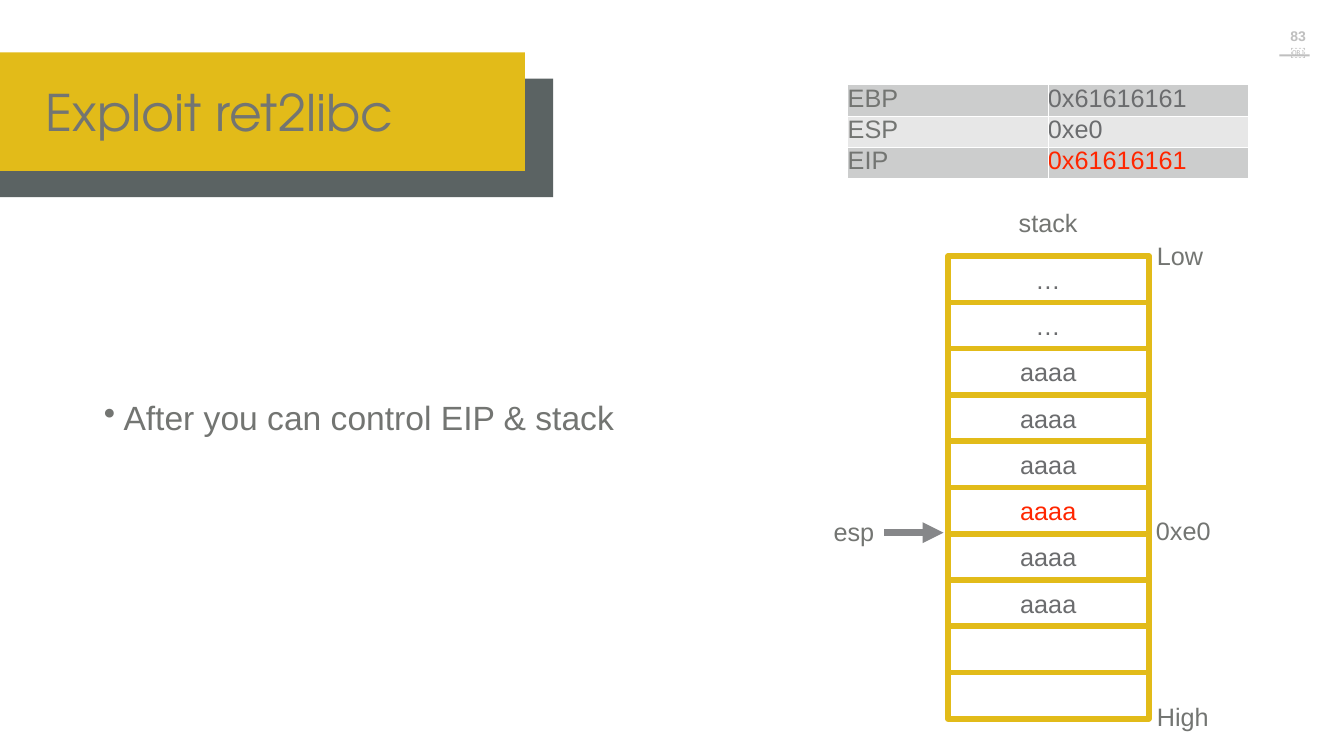
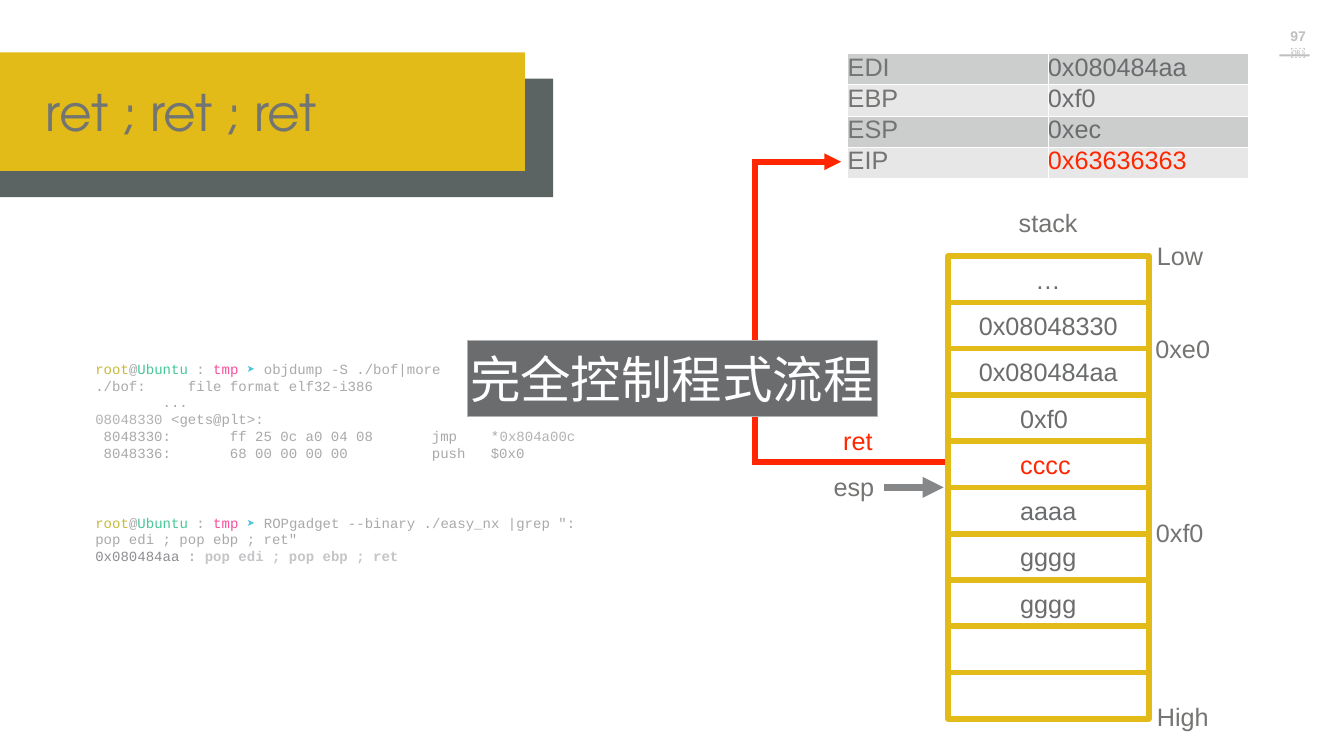
from dataclasses import dataclass
from typing import NamedTuple

from lxml import etree
from pptx import Presentation
from pptx.dml.color import RGBColor
from pptx.enum.shapes import MSO_CONNECTOR, MSO_SHAPE
from pptx.enum.text import MSO_ANCHOR, MSO_AUTO_SIZE, PP_ALIGN
from pptx.oxml.ns import qn
from pptx.util import Inches, Pt

RECTANGLE = MSO_SHAPE.RECTANGLE
STRAIGHT = MSO_CONNECTOR.STRAIGHT
MIDDLE = MSO_ANCHOR.MIDDLE
GROW = MSO_AUTO_SIZE.SHAPE_TO_FIT_TEXT
LEFT, CENTER = PP_ALIGN.LEFT, PP_ALIGN.CENTER


@dataclass(frozen=True)
class Theme:
    white: str = "FFFFFF"
    gold: str = "E2BB19"
    slate: str = "333C3C"
    text: str = "737572"
    value: str = "6B6C6E"
    alert: str = "FF2600"
    pointer: str = "868789"
    page: str = "BFBFBF"
    row_dark: str = "CCCDCD"
    row_light: str = "E7E7E7"
    user: str = "C7B939"
    host: str = "45C897"
    folder: str = "F7509D"
    prompt: str = "4EC5DA"
    code: str = "A9A9A9"
    code_number: str = "B1B2B4"
    code_address: str = "8D8E91"
    code_match: str = "C4C5C7"
    body_font: str = "Arial"
    title_font: str = "TeX Gyre Adventor"
    code_font: str = "Courier New"
    title_size: int = 72
    bullet_size: int = 48
    label_size: int = 36
    small_size: int = 20


THEME = Theme()


class Box(NamedTuple):
    left: float
    top: float
    width: float
    height: float


class Run(NamedTuple):
    text: str
    color: str = THEME.text
    bold: bool = False


class Label(NamedTuple):
    text: str
    left: float
    top: float
    width: float
    color: str = THEME.text


class Segment(NamedTuple):
    start: tuple[float, float]
    end: tuple[float, float]
    color: str
    weight: float
    arrow: bool = False


class Entry(NamedTuple):
    """A register value or the content of a stack cell."""
    text: str
    color: str = THEME.value


@dataclass(frozen=True)
class Snapshot:
    """State of registers and stack shown on one slide."""
    title: str
    title_width: float
    page: str
    registers: dict[str, Entry]
    stack: list[Entry]
    labels: list[Label]
    esp_top: float
    flow: tuple[Segment, ...] = ()


LABEL_HEIGHT = 0.7
REGISTER_LEFT, REGISTER_BOTTOM = 16.81, 3.54
REGISTER_COLUMN, REGISTER_ROW = 3.97, 0.62
STACK_LEFT, STACK_TOP, STACK_WIDTH = 18.8, 5.08, 3.98
CELL_COUNT, CELL_HEIGHT, CELL_PITCH = 10, 0.92, 0.918
ENTRY_LEFT = {1: 20.48, 4: 20.18, 10: 19.36}
ENTRY_WIDTH = {"…": 0.61, "0xf0": 1.06, "cccc": 1.11, "aaaa": 1.23, "gggg": 1.23}
ADDRESS_WIDTH = 2.87
STACK_LABELS = [
    Label("stack", 20.15, 4.06, 1.28),
    Label("Low", 22.89, 4.71, 1.03),
    Label("High", 22.89, 13.87, 1.14),
]
PROMPT = [
    Run("root", THEME.user), Run("@", THEME.code), Run("Ubuntu", THEME.host),
    Run(" : ", THEME.code), Run("tmp ", THEME.folder), Run("➤ ", THEME.prompt),
]
DISASSEMBLY = [
    PROMPT + [Run("objdump -S ./bof|more", THEME.code)],
    [Run("./bof:     file format elf32-i386", THEME.code)],
    [Run("        ...", THEME.code)],
    [Run("08048330", THEME.code_number), Run(" <gets@plt>:", THEME.code)],
    [Run(" 8048330:       ff 25 0c a0 04 08       jmp    *", THEME.code),
     Run("0x804a00c", THEME.code_number)],
    [Run(" 8048336:       68 00 00 00 00          push   $0x0", THEME.code)],
]
GADGET_SEARCH = [
    PROMPT + [Run('ROPgadget --binary ./easy_nx |grep ": pop edi ; pop ebp ; ret"',
                  THEME.code)],
    [Run("0x080484aa ", THEME.code_address), Run(": ", THEME.code_number, True),
     Run("pop edi ; pop ebp ; ret", THEME.code_match, True)],
]


def rgb(color: str) -> RGBColor:
    return RGBColor.from_string(color)


def add_runs(paragraph, runs: list[Run], size: int, font: str) -> None:
    for part in runs:
        run = paragraph.add_run()
        run.text = part.text
        run.font.name, run.font.size = font, Pt(size)
        run.font.bold = part.bold
        run.font.color.rgb = rgb(part.color)


def fill_frame(frame, lines: list[list[Run]], size: int, font: str,
               wrap: bool = False, align=LEFT, inset: float = 0.05) -> None:
    frame.margin_left = frame.margin_right = Inches(inset)
    frame.margin_top = frame.margin_bottom = Inches(inset)
    frame.word_wrap = wrap
    frame.auto_size = GROW
    frame.vertical_anchor = MIDDLE
    for index, runs in enumerate(lines):
        paragraph = frame.add_paragraph() if index else frame.paragraphs[0]
        paragraph.alignment = align
        add_runs(paragraph, runs, size, font)


def add_text(slide, box: Box, lines: list[list[Run]], size: int,
             font: str = THEME.body_font, **layout):
    frame = slide.shapes.add_textbox(*map(Inches, box)).text_frame
    fill_frame(frame, lines, size, font, **layout)
    return frame


def add_label(slide, label: Label) -> None:
    box = Box(label.left, label.top, label.width, LABEL_HEIGHT)
    add_text(slide, box, [[Run(label.text, label.color)]], THEME.label_size)


def add_rect(slide, box: Box, fill: str = "", line: str = "", weight: float = 0):
    rect = slide.shapes.add_shape(RECTANGLE, *map(Inches, box))
    rect.shadow.inherit = False
    if fill:
        rect.fill.solid()
        rect.fill.fore_color.rgb = rgb(fill)
    else:
        rect.fill.background()
    if line:
        rect.line.color.rgb = rgb(line)
        rect.line.width = Pt(weight)
    else:
        rect.line.fill.background()
    return rect


def add_segment(slide, segment: Segment) -> None:
    points = map(Inches, segment.start + segment.end)
    connector = slide.shapes.add_connector(STRAIGHT, *points)
    connector.line.color.rgb = rgb(segment.color)
    connector.line.width = Pt(segment.weight)
    if segment.arrow:
        etree.SubElement(connector.line._get_or_add_ln(), qn("a:tailEnd"), type="triangle")
    etree.SubElement(connector._element.spPr, qn("a:effectLst"))


def add_frame(slide, snapshot: Snapshot) -> None:
    """Title bands, title and page number shared by all slides."""
    shade = add_rect(slide, Box(-0.34, 1.56, 11.31, 2.35), THEME.slate)
    color = shade._element.spPr.find(qn("a:solidFill"))[0]
    etree.SubElement(color, qn("a:alpha"), val="80000")
    add_rect(slide, Box(-0.23, 1.04, 10.64, 2.35), THEME.gold)
    add_rect(slide, Box(25.37, 1.08, 0.6, 0.04), THEME.page)
    add_text(slide, Box(0.86, 1.59, snapshot.title_width, 1.25),
             [[Run(snapshot.title)]], THEME.title_size, THEME.title_font)
    add_text(slide, Box(25.48, 0.62, 0.52, 0.53),
             [[Run(snapshot.page, THEME.page, True)]], THEME.small_size,
             wrap=True, align=CENTER, inset=0.1)


def style_cell(cell, run: Run, fill: str) -> None:
    cell.margin_left = cell.margin_right = cell.margin_top = cell.margin_bottom = 0
    cell.fill.solid()
    cell.fill.fore_color.rgb = rgb(fill)
    add_runs(cell.text_frame.paragraphs[0], [run], THEME.label_size, THEME.body_font)
    properties = cell._tc.get_or_add_tcPr()
    for position, side in enumerate(("lnL", "lnR", "lnT", "lnB")):
        border = etree.Element(qn(f"a:{side}"), w=str(Pt(1)))
        paint = etree.SubElement(border, qn("a:solidFill"))
        etree.SubElement(paint, qn("a:srgbClr"), val=THEME.white)
        properties.insert(position, border)


def add_registers(slide, registers: dict[str, Entry]) -> None:
    height = REGISTER_ROW * len(registers)
    box = Box(REGISTER_LEFT, REGISTER_BOTTOM - height, 2 * REGISTER_COLUMN, height)
    table = slide.shapes.add_table(len(registers), 2, *map(Inches, box)).table
    table.first_row = table.horz_banding = False
    for row, (register, entry) in enumerate(registers.items()):
        fill = THEME.row_light if row % 2 else THEME.row_dark
        style_cell(table.cell(row, 0), Run(register), fill)
        style_cell(table.cell(row, 1), Run(*entry), fill)


def add_stack(slide, snapshot: Snapshot) -> None:
    tops = [STACK_TOP + CELL_PITCH * row for row in range(CELL_COUNT)]
    for top in tops:
        add_rect(slide, Box(STACK_LEFT, top, STACK_WIDTH, CELL_HEIGHT),
                 line=THEME.gold, weight=8)
    entries = [
        Label(text, ENTRY_LEFT[len(text)], top + 0.11,
              ENTRY_WIDTH.get(text, ADDRESS_WIDTH), color)
        for top, (text, color) in zip(tops, snapshot.stack)
    ]
    esp = Label("esp", 16.48, snapshot.esp_top - 0.37, 1.06)
    for label in STACK_LABELS + entries + snapshot.labels + [esp]:
        add_label(slide, label)
    add_segment(slide, Segment((17.53, snapshot.esp_top), (18.71, snapshot.esp_top),
                               THEME.pointer, 10, True))


def add_snapshot(deck, snapshot: Snapshot):
    slide = deck.slides.add_slide(deck.slide_layouts[6])
    add_frame(slide, snapshot)
    for segment in snapshot.flow:
        add_segment(slide, segment)
    add_registers(slide, snapshot.registers)
    add_stack(slide, snapshot)
    return slide


def build_exploit(deck) -> None:
    slide = add_snapshot(deck, Snapshot(
        "Exploit ret2libc", 7.39, "83￼",
        {"EBP": Entry("0x61616161"), "ESP": Entry("0xe0"),
         "EIP": Entry("0x61616161", THEME.alert)},
        [Entry("…")] * 2 + [Entry("aaaa")] * 3
        + [Entry("aaaa", THEME.alert)] + [Entry("aaaa")] * 2,
        [Label("0xe0", 22.87, 10.18, 1.2)], 10.57))
    frame = add_text(slide, Box(2.01, 7.83, 10.24, 0.91),
                     [[Run("After you can control EIP & stack")]], THEME.bullet_size)
    properties = frame.paragraphs[0]._p.get_or_add_pPr()
    properties.set("marL", str(Inches(0.39)))
    properties.set("indent", str(-Inches(0.39)))
    etree.SubElement(properties, qn("a:buChar"), char="•")


def build_ret_chain(deck) -> None:
    red = THEME.alert
    slide = add_snapshot(deck, Snapshot(
        "ret ; ret ; ret", 5.82, "97￼",
        {"EDI": Entry("0x080484aa"), "EBP": Entry("0xf0"), "ESP": Entry("0xec"),
         "EIP": Entry("0x63636363", red)},
        [Entry("…"), Entry("0x08048330"), Entry("0x080484aa"), Entry("0xf0"),
         Entry("cccc", red), Entry("aaaa"), Entry("gggg"), Entry("gggg")],
        [Label("0xe0", 22.86, 6.57, 1.2), Label("0xf0", 22.87, 10.22, 1.06),
         Label("ret", 16.67, 8.39, 0.7, red)], 9.67,
        (Segment((14.92, 9.17), (18.81, 9.17), red, 8),
         Segment((14.97, 9.22), (14.97, 3.17), red, 8),
         Segment((14.92, 3.21), (16.68, 3.21), red, 8, True))))
    add_text(slide, Box(1.84, 7.1, 9.81, 2.1), DISASSEMBLY,
             THEME.small_size, THEME.code_font)
    add_text(slide, Box(1.84, 10.15, 9.81, 1.1), GADGET_SEARCH,
             THEME.small_size, THEME.code_font, wrap=True)
    conclusion = add_rect(slide, Box(9.27, 6.75, 8.12, 1.5), THEME.value,
                          THEME.code_number, 0.5)
    fill_frame(conclusion.text_frame, [[Run("完全控制程式流程", THEME.white)]],
               THEME.title_size, THEME.body_font)


def main() -> None:
    deck = Presentation()
    deck.slide_width, deck.slide_height = Inches(26.65), Inches(15)
    build_exploit(deck)
    build_ret_chain(deck)
    deck.save("out.pptx")


if __name__ == "__main__":
    main()
